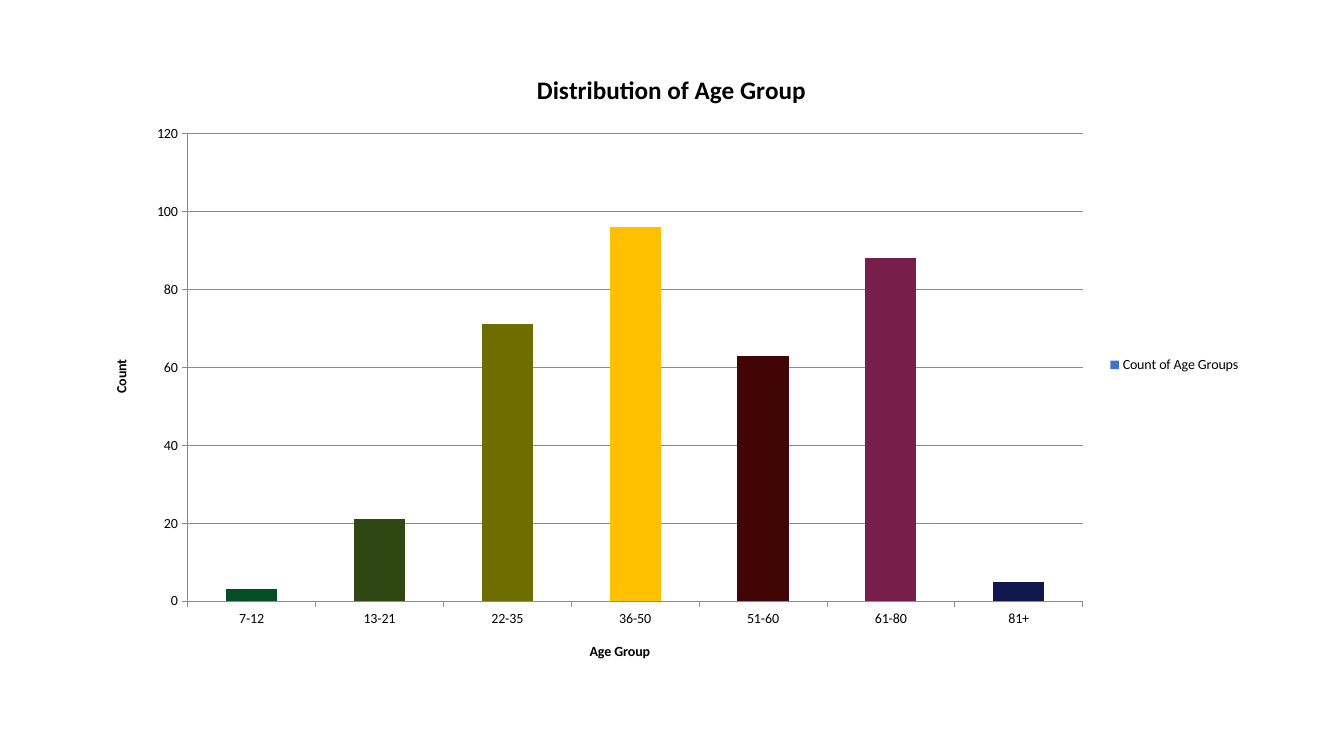
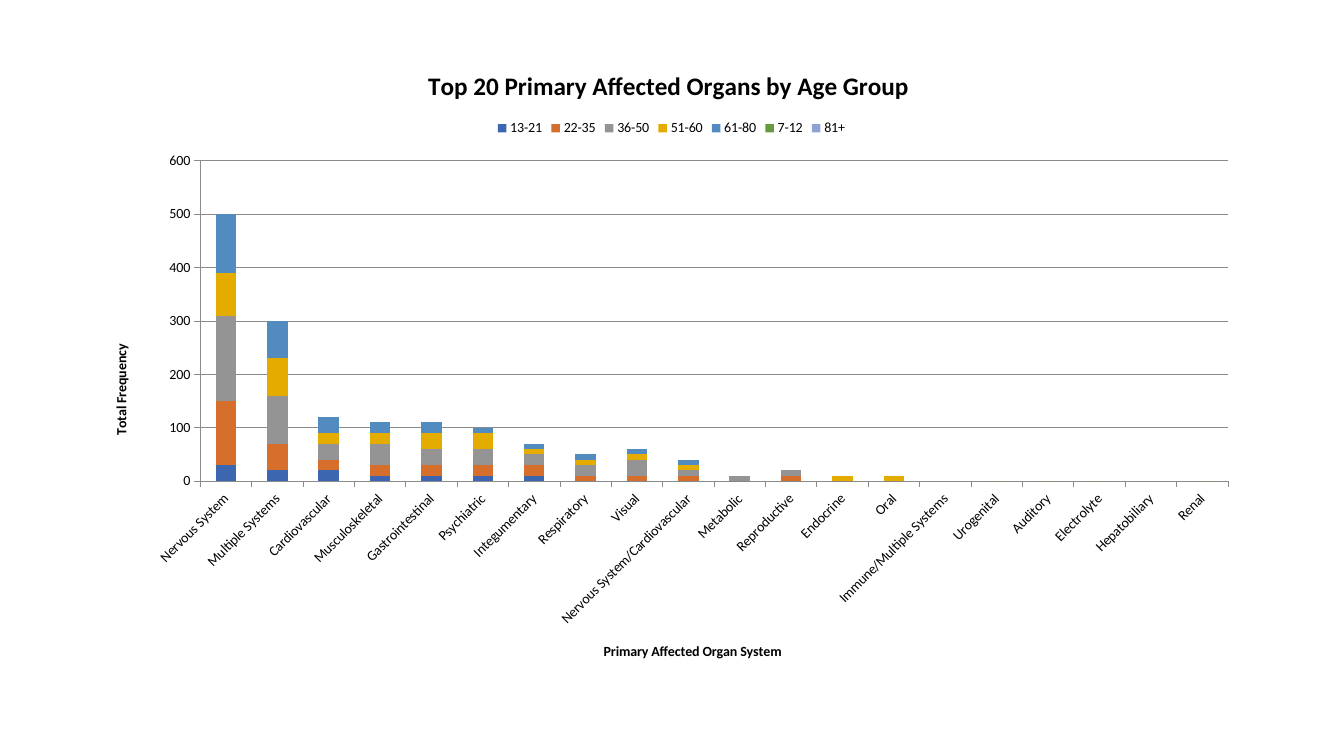
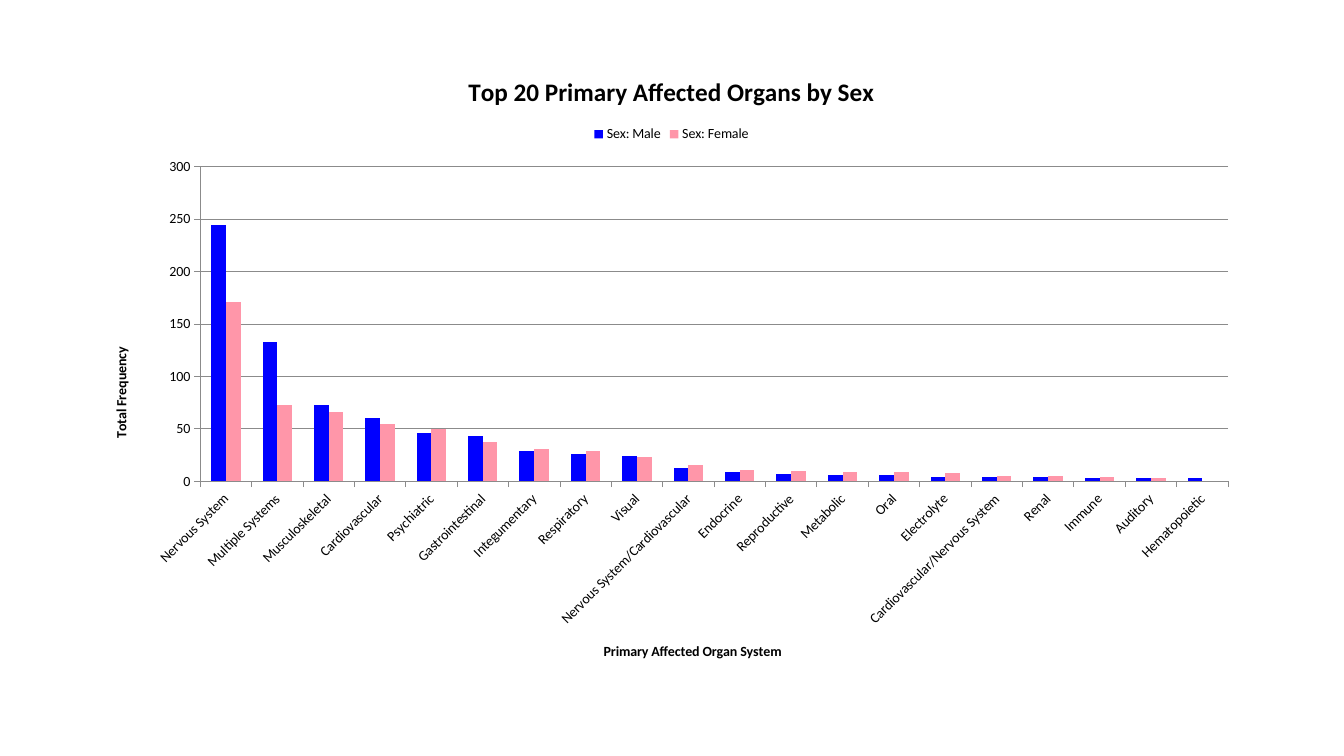
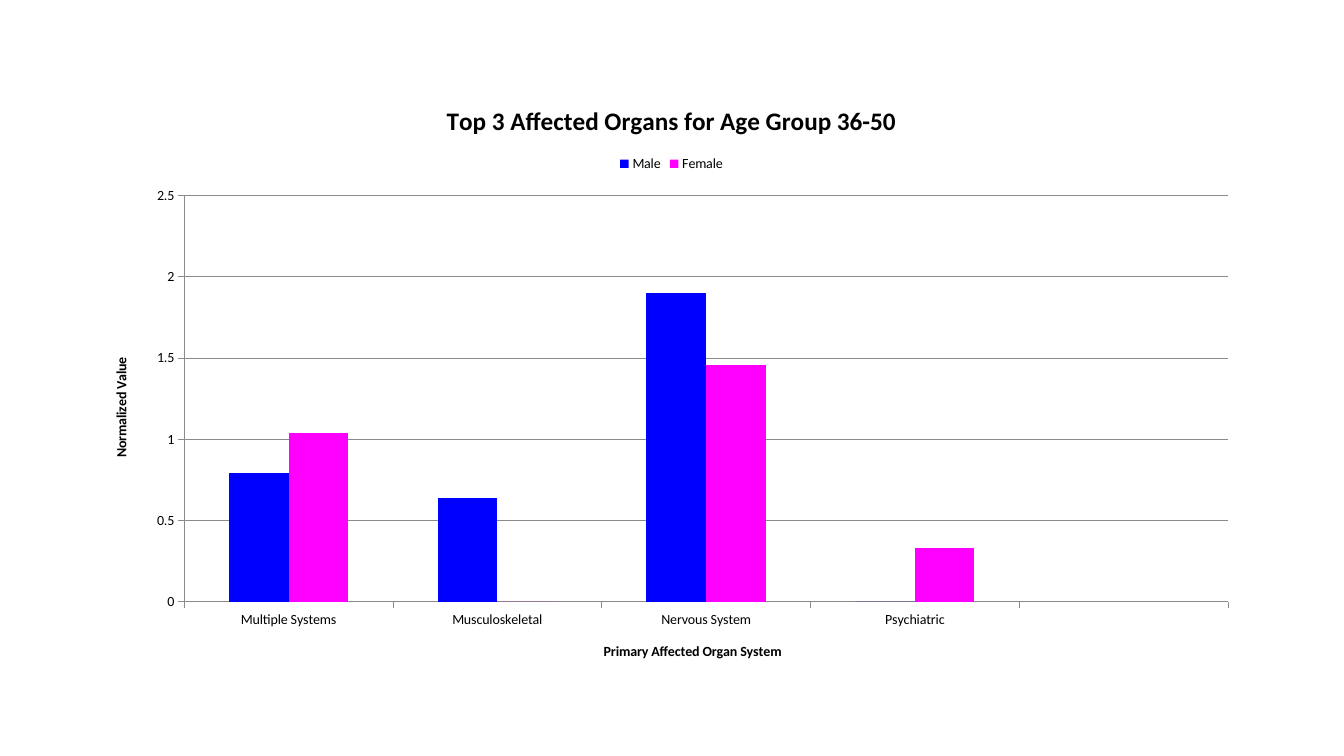
from pptx import Presentation
from pptx.chart.data import CategoryChartData
from pptx.dml.color import RGBColor
from pptx.enum.chart import XL_CHART_TYPE, XL_LEGEND_POSITION, XL_TICK_MARK
from pptx.util import Inches, Pt

GROUPED = XL_CHART_TYPE.COLUMN_CLUSTERED
STACKED = XL_CHART_TYPE.COLUMN_STACKED
TOP = XL_LEGEND_POSITION.TOP
RIGHT = XL_LEGEND_POSITION.RIGHT
OUT = XL_TICK_MARK.OUTSIDE
NONE = XL_TICK_MARK.NONE

FONT = "Calibri"
LEFT, WIDTH = 0.91, 11.5
ORGAN = "Primary Affected Organ System"
TILT = "-2700000"

COLORS = {
    "text": "000000", "line": "8B8B8B", "base": "4472C4",
    "male": "0000FF", "rose": "FF96A9", "pink": "FF00FF",
    "forest": "054D25", "moss": "2E4713", "olive": "6E6E00",
    "gold": "FFC000", "wine": "420505", "plum": "781E4B", "navy": "0F174D",
    "blue": "3D66B0", "orange": "D56F2B", "gray": "949494",
    "amber": "E5AC00", "sky": "518BBF", "green": "649B3F", "pale": "8FA2D4",
}

AGES = ["7-12", "13-21", "22-35", "36-50", "51-60", "61-80", "81+"]
AGE_BARS = ["forest", "moss", "olive", "gold", "wine", "plum", "navy"]

AGE_ORGANS = [
    "Nervous System", "Multiple Systems", "Cardiovascular", "Musculoskeletal",
    "Gastrointestinal", "Psychiatric", "Integumentary", "Respiratory",
    "Visual", "Nervous System/Cardiovascular", "Metabolic", "Reproductive",
    "Endocrine", "Oral", "Immune/Multiple Systems", "Urogenital", "Auditory",
    "Electrolyte", "Hepatobiliary", "Renal",
]
# Values after the last one given are zero.
AGE_ROWS = [
    ("13-21", "blue", [30, 20, 20, 10, 10, 10, 10]),
    ("22-35", "orange",
     [120, 50, 20, 20, 20, 20, 20, 10, 10, 10, 0, 10]),
    ("36-50", "gray",
     [160, 90, 30, 40, 30, 30, 20, 20, 30, 10, 10, 10]),
    ("51-60", "amber",
     [80, 70, 20, 20, 30, 30, 10, 10, 10, 10, 0, 0, 10, 10]),
    ("61-80", "sky", [110, 70, 30, 20, 20, 10, 10, 10, 10, 10]),
    ("7-12", "green", []),
    ("81+", "pale", []),
]

SEX_ORGANS = [
    "Nervous System", "Multiple Systems", "Musculoskeletal", "Cardiovascular",
    "Psychiatric", "Gastrointestinal", "Integumentary", "Respiratory",
    "Visual", "Nervous System/Cardiovascular", "Endocrine", "Reproductive",
    "Metabolic", "Oral", "Electrolyte", "Cardiovascular/Nervous System",
    "Renal", "Immune", "Auditory", "Hematopoietic",
]
SEX_ROWS = [
    ("Sex: Male", "male", [244, 133, 73, 60, 46, 43, 29, 26, 24, 13,
                           9, 7, 6, 6, 4, 4, 4, 3, 3, 3]),
    ("Sex: Female", "rose", [171, 73, 66, 55, 50, 37, 31, 29, 23, 15,
                             11, 10, 9, 9, 8, 5, 5, 4, 3, None]),
]

# The empty last category keeps the free slot at the right.
TOP_ORGANS = ["Multiple Systems", "Musculoskeletal", "Nervous System",
              "Psychiatric", ""]
TOP_ROWS = [
    ("Male", "male", [0.79, 0.64, 1.9, 0, None]),
    ("Female", "pink", [1.04, 0, 1.46, 0.33, None]),
]


def color(name):
    return RGBColor.from_string(COLORS[name])


def style(font, size=10, bold=False, fill="text"):
    font.name = FONT
    font.size = Pt(size)
    font.bold = bold
    font.color.rgb = color(fill)


def label(owner, text, **form):
    """Write the title of a chart or an axis."""
    frame = owner.text_frame
    frame.text = text
    style(frame.paragraphs[0].runs[0].font, **form)


def paint(part, name):
    part.format.fill.solid()
    part.format.fill.fore_color.rgb = color(name)


def rule(line):
    line.width = Pt(0.5)
    line.color.rgb = color("line")


def set_axis(axis, title, grid=False):
    axis.has_major_gridlines = grid
    if grid:
        rule(axis.major_gridlines.format.line)
    axis.major_tick_mark = OUT
    axis.minor_tick_mark = NONE
    rule(axis.format.line)
    style(axis.tick_labels.font)
    label(axis.axis_title, title, bold=True)


def add_bars(deck, title, top, height, cats, rows, names, scale,
             kind=GROUPED, legend=TOP, tilt=False, points=()):
    """Add a slide with one column chart; scale is the axis end and step."""
    data = CategoryChartData()
    data.categories = cats
    for name, _, vals in rows:
        data.add_series(name, vals + [0] * (len(cats) - len(vals)))
    slide = deck.slides.add_slide(deck.slide_layouts[6])
    chart = slide.shapes.add_chart(
        kind, Inches(LEFT), Inches(top), Inches(WIDTH), Inches(height),
        data).chart
    style(chart.font)
    chart.has_title = True
    label(chart.chart_title, title, size=18, bold=True)
    chart.chart_title.include_in_layout = False
    chart.has_legend = True
    chart.legend.position = legend
    chart.legend.include_in_layout = False
    style(chart.legend.font)

    set_axis(chart.category_axis, names[0])
    set_axis(chart.value_axis, names[1], grid=True)
    chart.value_axis.minimum_scale = 0
    chart.value_axis.maximum_scale, chart.value_axis.major_unit = scale
    if tilt:
        body = chart.category_axis._element.txPr.bodyPr
        body.set("rot", TILT)
        body.set("vert", "horz")

    plot = chart.plots[0]
    plot.vary_by_categories = False
    plot.gap_width = 150
    plot.overlap = 100 if kind == STACKED else 0
    for series, (_, fill, _) in zip(plot.series, rows):
        series.invert_if_negative = False
        paint(series, fill)
    for spot, fill in enumerate(points):
        paint(plot.series[0].points[spot], fill)


def main():
    deck = Presentation()
    deck.slide_width, deck.slide_height = Inches(13.33), Inches(7.5)
    add_bars(deck, "Distribution of Age Group", 0.49, 6.26, AGES,
             [("Count of Age Groups", "base", [3, 21, 71, 96, 63, 88, 5])],
             ("Age Group", "Count"), (120, 20), legend=RIGHT, points=AGE_BARS)
    add_bars(deck, "Top 20 Primary Affected Organs by Age Group ", 0.45, 6.3,
             AGE_ORGANS, AGE_ROWS, (ORGAN, "Total Frequency"), (600, 100),
             kind=STACKED, tilt=True)
    add_bars(deck, "Top 20 Primary Affected Organs by Sex", 0.51, 6.24,
             SEX_ORGANS, SEX_ROWS, (ORGAN, "Total Frequency"), (300, 50),
             tilt=True)
    add_bars(deck, "Top 3 Affected Organs for Age Group 36-50", 0.81, 5.94,
             TOP_ORGANS, TOP_ROWS, (ORGAN, "Normalized Value"), (2.5, 0.5))
    deck.save("out.pptx")


if __name__ == "__main__":
    main()
